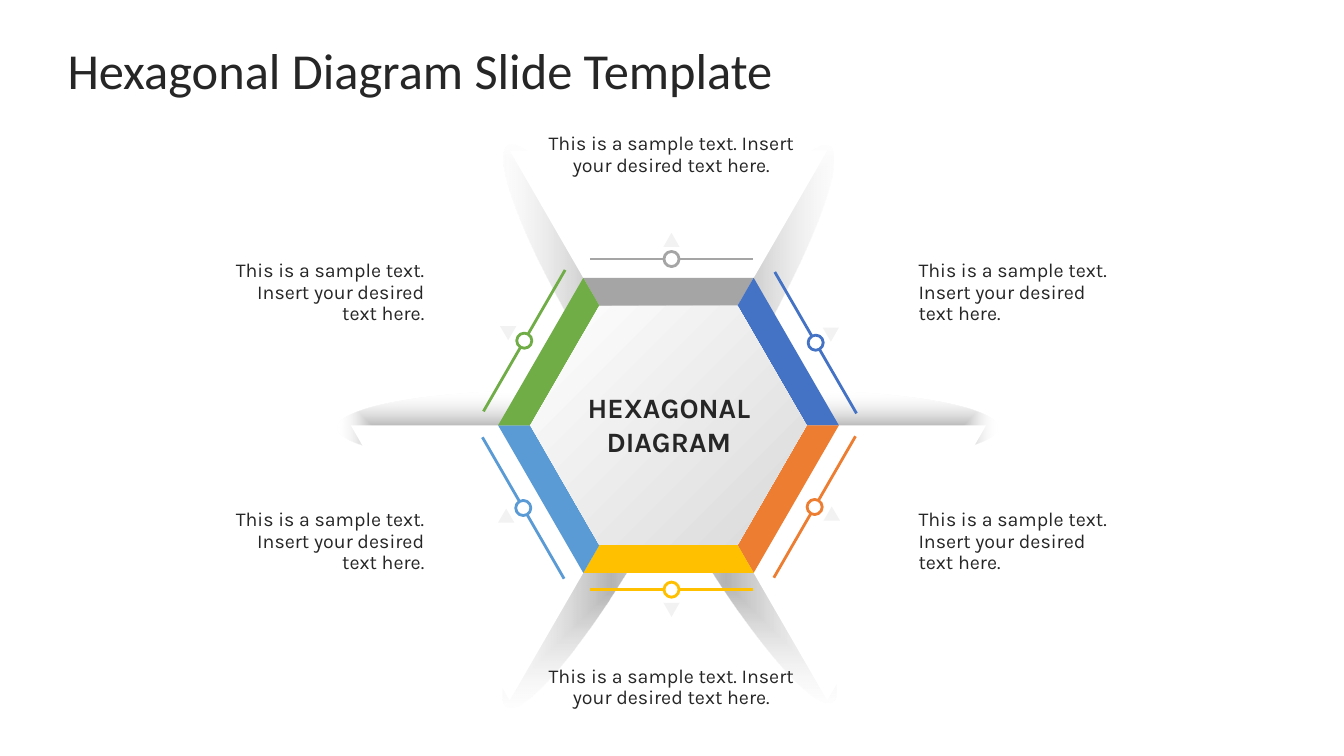
from math import cos, radians, sin
from pptx import Presentation
from pptx.dml.color import RGBColor as Rgb
from pptx.enum.shapes import MSO_CONNECTOR as Conn, MSO_SHAPE as Kind
from pptx.enum.text import MSO_ANCHOR as Anchor, PP_ALIGN as Align
from pptx.oxml import parse_xml
from pptx.oxml.ns import nsdecls
from pptx.util import Inches, Pt

COLS, ROWS = 13.33, 7.5
MID = (6.63, 4.22)
HEX = {
    "ink": "262626", "white": "FFFFFF", "pale": "F2F2F2", "mist": "D9D9D9",
    "dark": "0D0D0D", "grey": "A5A5A5", "blue": "4472C4", "orange": "ED7D31",
    "gold": "FFC000", "sky": "5B9BD5", "green": "70AD47",
}
NOTE = "This is a sample text. Insert your desired text here."
BODY = {"name": "Karla", "size": Pt(14)}
HEAD = {"name": "Calibri", "size": Pt(36)}
CORE = {"name": "Karla", "size": Pt(20), "bold": True}
SIDES = [
    ("grey", (6.66, 2.57), (6.66, 2.38), 0, (5.31, 1.31, 2.7, 0.46), Align.CENTER),
    ("blue", (8.09, 3.4), (8.24, 3.32), 180, (9.11, 2.51, 1.91, 0.79), Align.LEFT),
    ("orange", (8.08, 5.03), (8.27, 5.13), 120, (9.11, 4.98, 1.91, 0.79), Align.LEFT),
    ("gold", (6.66, 5.85), (6.66, 6.05), 180, (5.31, 6.59, 2.7, 0.46), Align.CENTER),
    ("sky", (5.19, 5.04), (5, 5.15), 240, (2.3, 4.98, 1.91, 0.79), Align.RIGHT),
    ("green", (5.2, 3.38), (5.02, 3.27), 300, (2.3, 2.51, 1.91, 0.79), Align.RIGHT),
]
SHADES = [
    ((7.84, 4.24), 180), ((5.4, 4.24), 180), ((6.06, 5.23), 120),
    ((7.19, 3.23), 119.9), ((7.2, 5.2), 239.1), ((6.1, 3.21), 239.1),
]


def tint(name):
    """Return the colour with this name."""
    return Rgb.from_string(HEX[name])


def polar(hub, span, turn):
    """Return the point at a distance and an angle from a hub."""
    return hub[0] + span * cos(radians(turn)), hub[1] + span * sin(radians(turn))


def paint(shape, fill, edge=None):
    """Give a shape a flat fill and an optional edge."""
    shape.shadow.inherit = False
    shape.fill.solid()
    shape.fill.fore_color.rgb = tint(fill)
    if edge:
        shape.line.color.rgb = tint(edge)
        shape.line.width = Pt(2)
    else:
        shape.line.fill.background()


def place(slide, kind, hub, size, turn, fill, edge=None):
    """Add a preset shape centred on a hub."""
    wide, high = size
    box = (hub[0] - wide / 2, hub[1] - high / 2, wide, high)
    shape = slide.shapes.add_shape(kind, *map(Inches, box))
    shape.rotation = turn
    paint(shape, fill, edge)
    return shape


def shade(slide, hub, turn):
    """Add a soft oval that fades out towards its rim."""
    oval = place(slide, Kind.OVAL, hub, (4.11, 0.73), turn, "white")
    stops = "".join(
        f'<a:gs pos="{pos}"><a:srgbClr val="{HEX[name]}"><a:alpha val="{alpha}"/>'
        "</a:srgbClr></a:gs>"
        for pos, name, alpha in ((0, "dark", 31000), (100000, "white", 0)))
    fade = parse_xml(
        f'<a:gradFill {nsdecls("a")} rotWithShape="1"><a:gsLst>{stops}</a:gsLst>'
        '<a:path path="shape"><a:fillToRect l="50000" t="50000" r="50000" b="50000"/>'
        "</a:path></a:gradFill>")
    props = oval.element.spPr
    props.replace(props.find("a:solidFill", {"a": fade.nsmap["a"]}), fade)


def trace(slide, dots, fill):
    """Add a closed outline through the given points."""
    first, *rest = [(Inches(x), Inches(y)) for x, y in dots]
    pen = slide.shapes.build_freeform(*first, scale=1.0)
    pen.add_line_segments(rest, close=True)
    shape = pen.convert_to_shape()
    paint(shape, fill)
    return shape


def wedge(slide, side, span, fill):
    """Add one sixth of a hexagon."""
    ends = [polar(MID, span, 60 * side + turn) for turn in (-120, -60)]
    trace(slide, [MID, *ends], fill)


def core(slide):
    """Add the hexagon in the middle with its gradient."""
    dots = [polar(MID, 1.37, 60 * step) for step in range(6)]
    fill = trace(slide, dots, "white").fill
    fill.gradient()
    fill.gradient_angle = 315
    for stop, name in zip(fill.gradient_stops, ("white", "mist")):
        stop.color.rgb = tint(name)


def gauge(slide, side, hub, name):
    """Add a line along one side with a ring at its middle."""
    ends = polar(hub, -0.81, 60 * side) + polar(hub, 0.81, 60 * side)
    line = slide.shapes.add_connector(Conn.STRAIGHT, *map(Inches, ends))
    line.line.color.rgb = tint(name)
    line.line.width = Pt(2)
    line.element.spPr.append(parse_xml(f'<a:effectLst {nsdecls("a")}/>'))
    place(slide, Kind.OVAL, hub, (0.15, 0.15), 60 * side % 180, "white", name)


def write(slide, box, lines, look, align=Align.LEFT, lead=1.0):
    """Add a text box without margins."""
    frame = slide.shapes.add_textbox(*map(Inches, box)).text_frame
    form = {"word_wrap": True, "vertical_anchor": Anchor.MIDDLE, "margin_left": 0,
            "margin_right": 0, "margin_top": 0, "margin_bottom": 0}
    for key, value in form.items():
        setattr(frame, key, value)
    frame.text = "\n".join(lines)
    for para in frame.paragraphs:
        para.alignment = align
        para.line_spacing = lead
        font = para.runs[0].font
        font.color.rgb = tint("ink")
        for key, value in look.items():
            setattr(font, key, value)


def main():
    """Build the slide and save it."""
    deck = Presentation()
    deck.slide_width, deck.slide_height = Inches(COLS), Inches(ROWS)
    slide = deck.slides.add_slide(deck.slide_layouts[6])
    write(slide, (0.67, 0.3, 12, 0.78), ["Hexagonal Diagram Slide Template"], HEAD)
    for hub, turn in SHADES:
        shade(slide, hub, turn)
    for side in (0, 2, 4):
        wedge(slide, side, 3.15, "white")
    for side, (name, *_) in enumerate(SIDES):
        wedge(slide, side, 1.69, name)
    core(slide)
    write(slide, (5.57, 3.71, 2.13, 1), ["HEXAGONAL", "DIAGRAM"], CORE, Align.CENTER)
    for side, (name, knob, tip, turn, box, align) in enumerate(SIDES):
        gauge(slide, side, knob, name)
        place(slide, Kind.ISOSCELES_TRIANGLE, tip, (0.16, 0.14), turn, "pale")
        write(slide, box, [NOTE], BODY, align, 0.9)
    deck.save("out.pptx")


if __name__ == "__main__":
    main()
